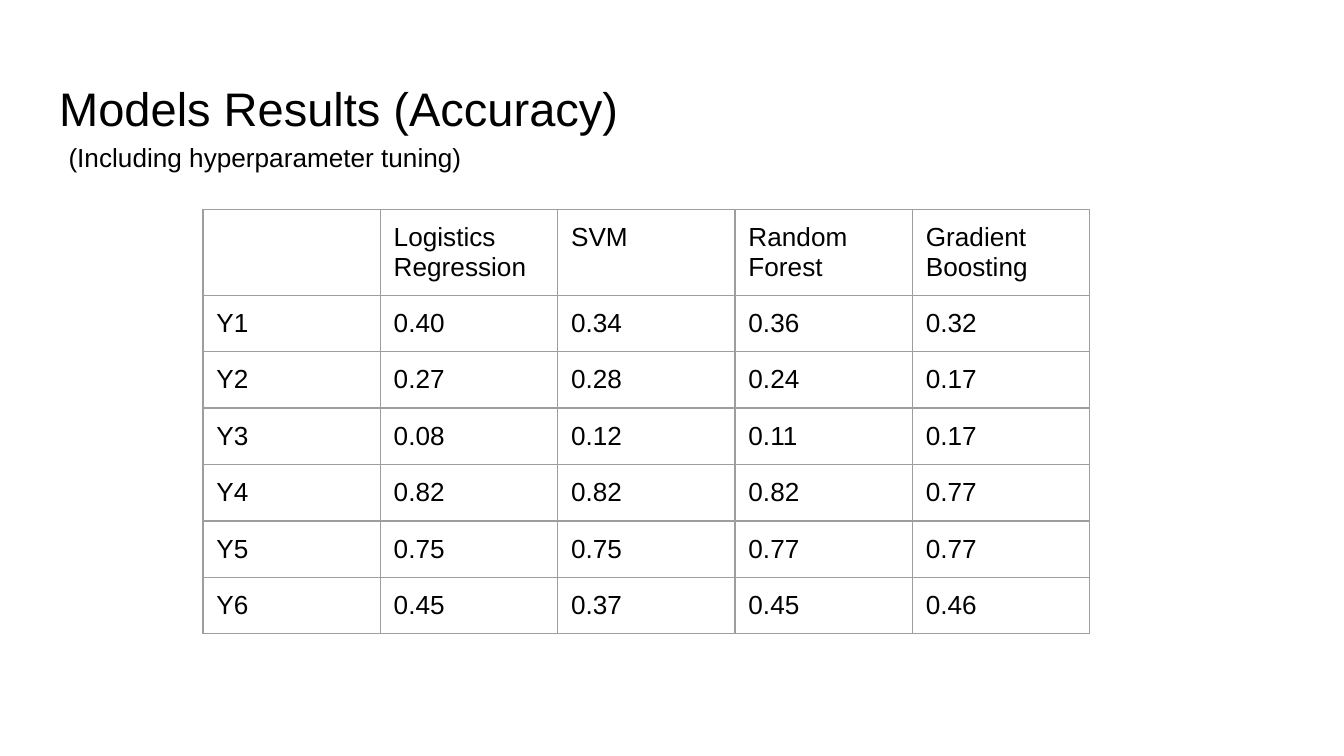
from dataclasses import dataclass

from lxml import etree
from pptx import Presentation
from pptx.dml.color import RGBColor
from pptx.enum import text
from pptx.oxml import ns
from pptx.util import Inches, Pt


@dataclass(frozen=True)
class Theme:
    font: str = "Arial"
    ink: str = "000000"
    rule: str = "9E9E9E"
    head: float = 25.2
    body: float = 14
    pad: float = 0.1
    line: float = 0.75


class Deck:
    """Holds the theme and the current slide, and adds styled elements."""

    def __init__(self, prs, theme):
        self.theme = theme
        self.slide = prs.slides.add_slide(prs.slide_layouts[0])

    def style(self, para, size):
        para.alignment = text.PP_ALIGN.LEFT
        para.space_before = Pt(0)
        para.font.name = self.theme.font
        para.font.size = Pt(size)
        para.font.color.rgb = RGBColor.from_string(self.theme.ink)

    def pad(self, item):
        for side in ("left", "right", "top", "bottom"):
            setattr(item, f"margin_{side}", Inches(self.theme.pad))

    def label(self, holder, words, box, size, anchor):
        holder.left, holder.top, holder.width, holder.height = map(Inches, box)
        frame = holder.text_frame
        frame.text = words
        frame.word_wrap = True
        frame.auto_size = text.MSO_AUTO_SIZE.NONE
        frame.vertical_anchor = anchor
        self.pad(frame)
        self.style(frame.paragraphs[0], size)

    def border(self, cell):
        props = cell._tc.get_or_add_tcPr()
        for place, side in enumerate(("lnL", "lnR", "lnT", "lnB")):
            line = etree.Element(ns.qn(f"a:{side}"), w=str(Pt(self.theme.line)))
            fill = etree.SubElement(line, ns.qn("a:solidFill"))
            etree.SubElement(fill, ns.qn("a:srgbClr"), val=self.theme.rule)
            props.insert(place, line)

    def table(self, rows, left, top, wide, high):
        count = len(rows[0])
        grid = self.slide.shapes.add_table(
            len(rows), count, Inches(left), Inches(top),
            Inches(wide * count), Inches(high * len(rows))).table
        grid.first_row = grid.horz_banding = False
        for r, row in enumerate(rows):
            for c, words in enumerate(row):
                cell = grid.cell(r, c)
                cell.text = words
                cell.fill.background()
                self.pad(cell)
                self.style(cell.text_frame.paragraphs[0], self.theme.body)
                self.border(cell)


def main():
    prs = Presentation()
    prs.slide_width = Inches(10)
    prs.slide_height = prs.slide_width * 9 // 16
    theme = Theme()
    deck = Deck(prs, theme)
    title, note = deck.slide.placeholders
    deck.label(title, "Models Results (Accuracy)", (0.34, 0.49, 9.32, 0.63),
               theme.head, text.MSO_ANCHOR.MIDDLE)
    deck.label(note, "(Including hyperparameter tuning)", (0.41, 0.95, 9.32, 0.63),
               theme.body, text.MSO_ANCHOR.TOP)
    models = ["", "Logistics Regression", "SVM", "Random Forest", "Gradient\vBoosting"]
    scores = [
        (0.40, 0.34, 0.36, 0.32),
        (0.27, 0.28, 0.24, 0.17),
        (0.08, 0.12, 0.11, 0.17),
        (0.82, 0.82, 0.82, 0.77),
        (0.75, 0.75, 0.77, 0.77),
        (0.45, 0.37, 0.45, 0.46),
    ]
    rows = [[f"Y{n}", *(f"{s:.2f}" for s in row)] for n, row in enumerate(scores, 1)]
    deck.table([models, *rows], 1.51, 1.56, 1.32, 0.42)
    prs.save("out.pptx")


if __name__ == "__main__":
    main()
